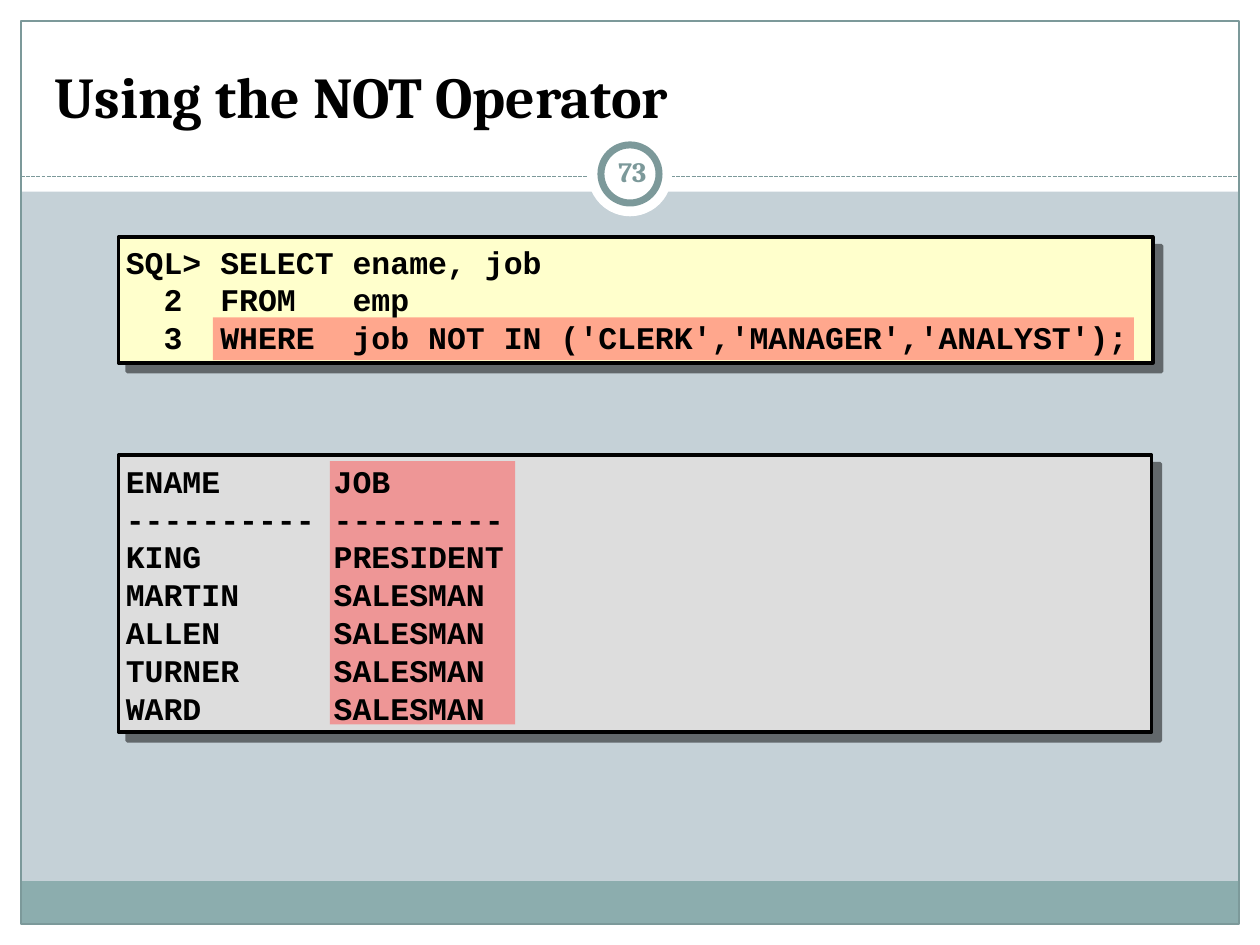
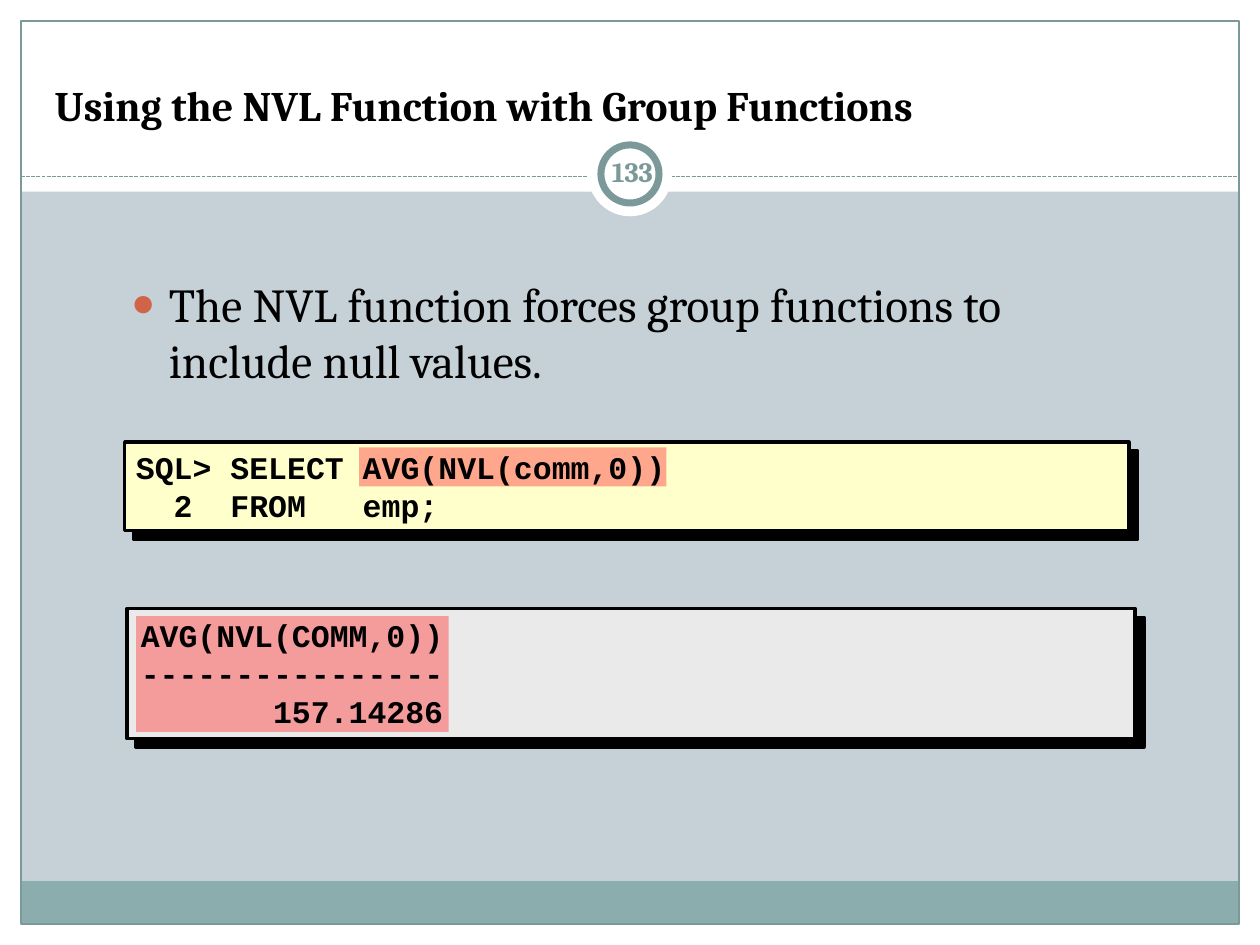
from lxml import etree
from pptx import Presentation
from pptx.dml.color import RGBColor
from pptx.enum.dml import MSO_LINE
from pptx.enum.shapes import MSO_CONNECTOR, MSO_SHAPE
from pptx.enum.text import MSO_ANCHOR, MSO_AUTO_SIZE, PP_ALIGN
from pptx.oxml.ns import qn
from pptx.util import Pt

RECTANGLE, OVAL = MSO_SHAPE.RECTANGLE, MSO_SHAPE.OVAL
STRAIGHT, DASHED = MSO_CONNECTOR.STRAIGHT, MSO_LINE.SQUARE_DOT
TOP, MIDDLE, BOTTOM = MSO_ANCHOR.TOP, MSO_ANCHOR.MIDDLE, MSO_ANCHOR.BOTTOM
LEFT, CENTER = PP_ALIGN.LEFT, PP_ALIGN.CENTER
NO_AUTOFIT = MSO_AUTO_SIZE.NONE

COLORS = {
    "background": "C5D1D7",
    "white": "FFFFFF",
    "black": "000000",
    "frame": "7C999A",
    "footer": "8CADAE",
    "bullet": "D16349",
    "query": "FFFFCC",
    "result": "DDDDDD",
    "light result": "EAEAEA",
    "highlight": "FF5050",
}
TEXT_FONT, CODE_FONT = "Cambria", "Courier New"
PAGE_WIDTH, PAGE_HEIGHT = 720, 540
MARGIN = 12
RULE_TOP = 100.8
CODE_SIZE, CODE_PITCH = 18, 21.6
CHARACTER_WIDTH = 10.8


def color(name):
    return RGBColor.from_string(COLORS[name])


def points(lengths):
    return [Pt(length) for length in lengths]


def add_child(parent, tag, **attributes):
    return etree.SubElement(parent, qn(tag), attributes)


def add_box(slide, bounds, fill=None, line=None, weight=0.75, kind=RECTANGLE):
    box = slide.shapes.add_shape(kind, *points(bounds))
    box.shadow.inherit = False
    if fill:
        box.fill.solid()
        box.fill.fore_color.rgb = color(fill)
    else:
        box.fill.background()
    if line:
        box.line.color.rgb = color(line)
        box.line.width = Pt(weight)
    else:
        box.line.fill.background()
    return box


def add_panel(slide, bounds, fill, shadow_opacity):
    """Add a black-edged box with a hard shadow to the lower right."""
    panel = add_box(slide, bounds, fill, "black", 2)
    effects = panel._element.spPr.find(qn("a:effectLst"))
    shadow = add_child(effects, "a:outerShdw", blurRad="0", dist=str(Pt(7.1)),
                       dir="2700000", algn="ctr", rotWithShape="0")
    shade = add_child(shadow, "a:srgbClr", val=COLORS["black"])
    add_child(shade, "a:alpha", val=str(shadow_opacity * 1000))


def add_highlight(slide, bounds):
    highlight = add_box(slide, bounds, "highlight")
    shade = highlight._element.spPr.find(qn("a:solidFill"))[0]
    add_child(shade, "a:alpha", val="50000")


def add_span(para, text, size, font=TEXT_FONT, tint="black", bold=False):
    span = para.add_run()
    span.text = text
    span.font.name = font
    span.font.size = Pt(size)
    span.font.bold = bold
    span.font.color.rgb = color(tint)


def add_tab_stop(para, position, alignment):
    stops = add_child(para._p.get_or_add_pPr(), "a:tabLst")
    add_child(stops, "a:tab", pos=str(Pt(position)), algn=alignment)


def add_code(slide, bounds, lines, tab=None, anchor=MIDDLE):
    """Add monospaced lines; tab is an optional (position, alignment) stop."""
    frame = slide.shapes.add_textbox(*points(bounds)).text_frame
    frame.word_wrap = True
    frame.vertical_anchor = anchor
    for index, line in enumerate(lines):
        para = frame.add_paragraph() if index else frame.paragraphs[0]
        if tab:
            add_tab_stop(para, *tab)
        para.line_spacing = Pt(CODE_PITCH)
        add_span(para, line, CODE_SIZE, CODE_FONT, bold=True)


def place(placeholder, bounds, anchor):
    """Move a placeholder and return its first paragraph."""
    (placeholder.left, placeholder.top,
     placeholder.width, placeholder.height) = points(bounds)
    frame = placeholder.text_frame
    frame.auto_size = NO_AUTOFIT
    frame.word_wrap = True
    frame.vertical_anchor = anchor
    para = frame.paragraphs[0]
    para.alignment = LEFT
    para.space_before = Pt(0)
    return para


def set_title(slide, text, size):
    para = place(slide.shapes.title, (24, 18, 672, 60), BOTTOM)
    add_span(para, text, size, bold=True)


def set_bullet(slide, text):
    para = place(slide.placeholders[1], (67.7, 153.4, 581.8, 71.3), TOP)
    properties = para._p.get_or_add_pPr()
    indent = Pt(21.6)
    properties.set("marL", str(indent))
    properties.set("indent", str(-indent))
    tint = add_child(properties, "a:buClr")
    add_child(tint, "a:srgbClr", val=COLORS["bullet"])
    add_child(properties, "a:buSzPct", val="85000")
    add_child(properties, "a:buChar", char="●")
    add_span(para, text, 27)


def add_page_number(slide, number):
    box = slide.shapes.add_textbox(*points((343.4, 80.6, 36, 34.6)))
    frame = box.text_frame
    frame.word_wrap = True
    frame.vertical_anchor = MIDDLE
    frame.margin_left = frame.margin_right = Pt(3.6)
    para = frame.paragraphs[0]
    para.alignment = CENTER
    add_span(para, str(number), 16, tint="frame", bold=True)


def add_rule(slide):
    rule = slide.shapes.add_connector(
        STRAIGHT, *points((MARGIN, RULE_TOP, PAGE_WIDTH - MARGIN, RULE_TOP)))
    rule.line.color.rgb = color("frame")
    rule.line.width = Pt(0.75)
    rule.line.dash_style = DASHED
    add_child(rule._element.spPr, "a:effectLst")
    return rule


def build_master(deck):
    """Draw the shared frame on a slide, then move it to the master."""
    master = deck.slide_master
    master.background.fill.solid()
    master.background.fill.fore_color.rgb = color("background")
    slide = deck.slides.add_slide(deck.slide_layouts[5])
    inner_width = PAGE_WIDTH - 2 * MARGIN
    bands = [
        (0, PAGE_HEIGHT - MARGIN, PAGE_WIDTH, MARGIN),
        (0, 0, PAGE_WIDTH, 109.5),
        (0, 0, MARGIN, PAGE_HEIGHT),
        (PAGE_WIDTH - MARGIN, 0, MARGIN, PAGE_HEIGHT),
    ]
    parts = [add_box(slide, band, "white") for band in bands]
    parts += [
        add_box(slide, (MARGIN, 503.5, inner_width, 24.5), "footer"),
        add_box(slide, (MARGIN, MARGIN, inner_width, PAGE_HEIGHT - 2 * MARGIN),
                line="frame"),
        add_rule(slide),
        add_box(slide, (336, 75.6, 48, 48), "white", kind=OVAL),
        add_box(slide, (343.4, 82.8, 33.2, 33.2), "white", "frame", 4, OVAL),
    ]
    tree = master.shapes.element
    for index, part in enumerate(parts):
        part.element.xpath("./*/p:cNvPr")[0].set("id", str(100 + index))
        tree.insert(2 + index, part.element)
    return slide


def build_not_operator(slide):
    set_title(slide, "Using the NOT Operator", 33)
    add_panel(slide, (67.7, 135.4, 591.1, 72), "query", 50)
    add_panel(slide, (67.7, 260, 590.4, 158.4), "result", 50)
    add_highlight(slide, (121.7, 181.4, 526.3, 24.5))
    add_highlight(slide, (188.6, 263.5, 105.8, 150.5))
    add_code(slide, (64.8, 133.9, 593.3, 74.2), [
        "SQL> SELECT ename, job",
        "  2  FROM   emp",
        "  3  WHERE  job NOT IN ('CLERK','MANAGER','ANALYST');",
    ])
    employees = [
        ("ENAME", "JOB"),
        ("-" * 10, "-" * 9),
        ("KING", "PRESIDENT"),
        ("MARTIN", "SALESMAN"),
        ("ALLEN", "SALESMAN"),
        ("TURNER", "SALESMAN"),
        ("WARD", "SALESMAN"),
    ]
    add_code(slide, (64.8, 259.2, 592.6, 160.6),
             ["\t".join(row) for row in employees],
             tab=(11 * CHARACTER_WIDTH, "l"))
    add_page_number(slide, 73)


def build_nvl_function(slide):
    add_panel(slide, (71.3, 252.7, 573.8, 50.4), "query", 100)
    add_panel(slide, (72.7, 347.8, 576, 74.2), "light result", 100)
    add_highlight(slide, (77.8, 352.1, 178.6, 66.2))
    add_highlight(slide, (205.2, 255.6, 175.7, 22.3))
    set_title(slide, "Using the NVL Function with Group Functions", 24)
    set_bullet(slide, "The NVL function forces group functions to "
                      "include null values.")
    add_code(slide, (70.6, 251.3, 576, 52.6), [
        "SQL> SELECT AVG(NVL(comm,0))",
        "  2  FROM   emp;",
    ])
    heading = "AVG(NVL(COMM,0))"
    add_code(slide, (73.4, 348.5, 573.8, 72),
             [heading, "-" * len(heading), "\t157.14286"],
             tab=(len(heading) * CHARACTER_WIDTH, "r"), anchor=TOP)
    add_page_number(slide, 133)


def main():
    deck = Presentation()
    deck.slide_width, deck.slide_height = Pt(PAGE_WIDTH), Pt(PAGE_HEIGHT)
    build_not_operator(build_master(deck))
    build_nvl_function(deck.slides.add_slide(deck.slide_layouts[1]))
    deck.save("out.pptx")


if __name__ == "__main__":
    main()
